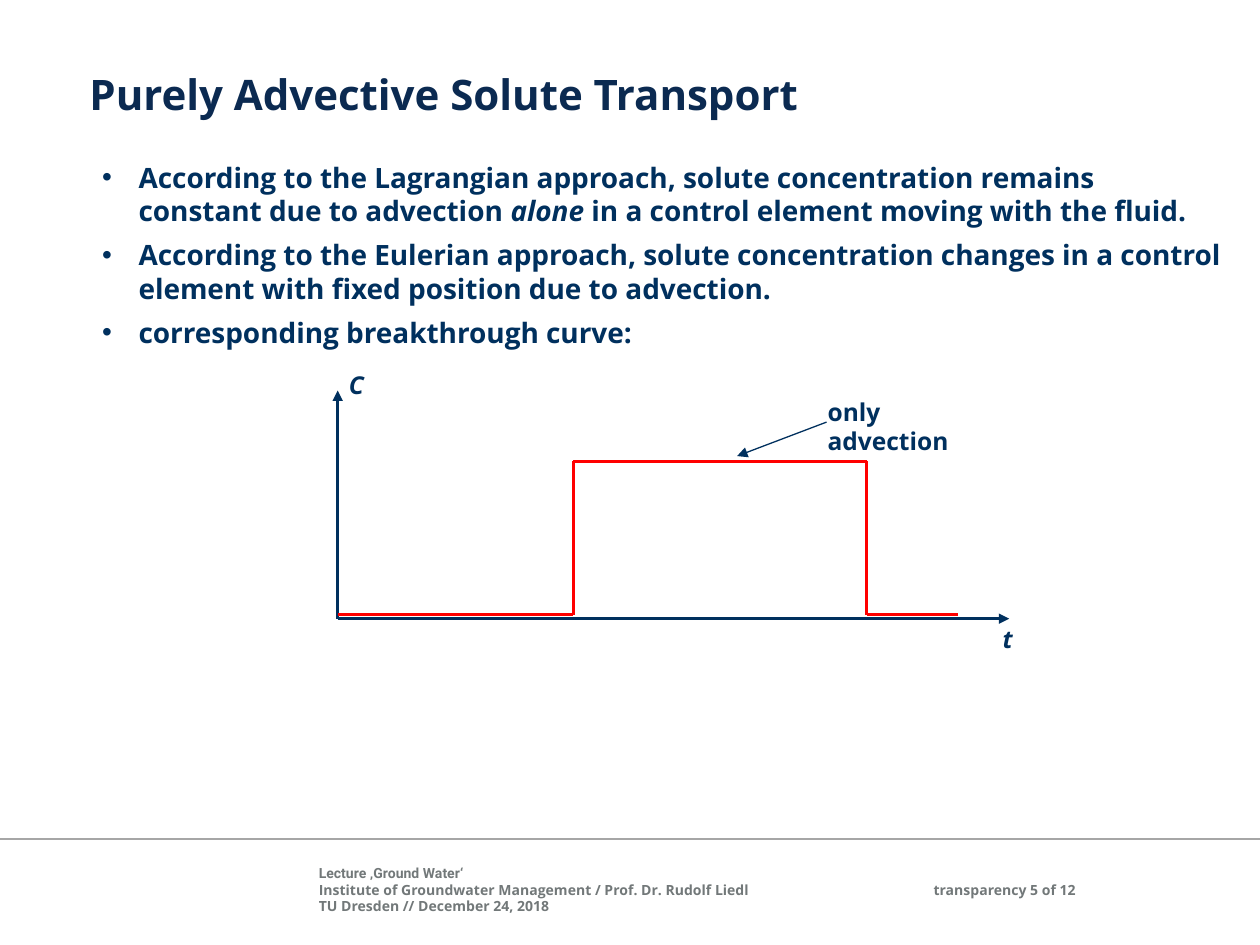
import itertools
import lxml.etree
import pptx
import pptx.dml.color
import pptx.enum.shapes
import pptx.enum.text
import pptx.oxml.ns
import pptx.util

Inches, Pt = pptx.util.Inches, pptx.util.Pt
Align, Anchor = pptx.enum.text.PP_ALIGN, pptx.enum.text.MSO_ANCHOR

NAVY = pptx.dml.color.RGBColor(0x00, 0x30, 0x5E)
TITLE_NAVY = pptx.dml.color.RGBColor(0x0B, 0x2A, 0x51)
RED = pptx.dml.color.RGBColor(0xFF, 0x00, 0x00)
GRAY = pptx.dml.color.RGBColor(0x72, 0x78, 0x79)
RULE_GRAY = pptx.dml.color.RGBColor(0xA6, 0xA6, 0xA6)

WIDTH, HEIGHT = 10, 7.5
MARGIN = 0.71
FOOTER_TOP = 6.86
BULLET_INDENT = 0.29

TITLE = "Purely Advective Solute Transport"
# Each paragraph is a list of runs: (text, format overrides)
BULLETS = [
    [("According to the Lagrangian approach, solute concentration remains "
      "constant due to advection ", {}),
     ("alone", {"italic": True}),
     (" in a control element moving with the fluid.", {})],
    [("According to the Eulerian approach, solute concentration changes in a "
      "control element with fixed position due to advection.", {})],
    [("corresponding breakthrough curve:", {})],
]
FOOTER = [
    [("Lecture \u201aGround Water\u2018", {"font": "Roboto"})],
    [("Institute of Groundwater Management / Prof. Dr. Rudolf Liedl", {})],
    [("TU Dresden // December 24, 2018", {})],
]
PAGE = "transparency 5 of 12"

# Breakthrough curve
ORIGIN = (2.68, 4.91)
TIME_END, CONCENTRATION_END = 8.01, 3.1
BASE, PLATEAU = 4.88, 3.66
ARRIVAL, DEPARTURE, CURVE_END = 4.55, 6.88, 7.6
CURVE = [(ORIGIN[0], BASE), (ARRIVAL, BASE), (ARRIVAL, PLATEAU),
         (DEPARTURE, PLATEAU), (DEPARTURE, BASE), (CURVE_END, BASE)]
AXES = [(TIME_END, ORIGIN[1]), (ORIGIN[0], CONCENTRATION_END)]
# text, box, italic, wraps
LABELS = [("t", (7.86, 4.9, 0.28, 0.34), True, False),
          ("C", (2.67, 2.89, 0.34, 0.34), True, False),
          ("only advection", (6.47, 3.1, 1.3, 0.58), False, True)]


def add_element(parent, tag, **attributes):
    """Append a drawing element with its attributes to a parent."""
    lxml.etree.SubElement(parent, pptx.oxml.ns.qn(tag), attributes)


def write(shape, paragraphs, box, size, color, font="Open Sans", italic=False,
          align=Align.LEFT, anchor=Anchor.TOP, inset=None, wrap=True,
          after=0, spacing=1.0, bullet=False):
    """Place a shape and fill it with formatted bold paragraphs."""
    shape.left, shape.top, shape.width, shape.height = map(Inches, box)
    frame = shape.text_frame
    frame.auto_size = pptx.enum.text.MSO_AUTO_SIZE.NONE
    frame.word_wrap = wrap
    frame.vertical_anchor = anchor
    if inset is not None:
        frame.margin_left = frame.margin_right = Inches(inset)
        frame.margin_top = frame.margin_bottom = Inches(inset)
    if isinstance(paragraphs, str):
        paragraphs = [[(paragraphs, {})]]
    for index, runs in enumerate(paragraphs):
        paragraph = frame.add_paragraph() if index else frame.paragraphs[0]
        paragraph.alignment = align
        paragraph.line_spacing = spacing
        paragraph.space_before, paragraph.space_after = Pt(0), Pt(after)
        if bullet:
            add_bullet(paragraph)
        for text, override in runs:
            run = paragraph.add_run()
            run.text = text
            run.font.size = Pt(size)
            run.font.bold = True
            run.font.italic = override.get("italic", italic)
            run.font.name = override.get("font", font)
            run.font.color.rgb = color


def add_bullet(paragraph):
    """Give a paragraph a hanging round bullet."""
    properties = paragraph._p.get_or_add_pPr()
    properties.set("marL", str(int(Inches(BULLET_INDENT))))
    properties.set("indent", str(-int(Inches(BULLET_INDENT))))
    add_element(properties, "a:buFont", typeface="Arial")
    add_element(properties, "a:buChar", char="\u2022")


def add_line(shapes, start, end, color, width, arrow=False):
    """Draw a straight line, with an arrowhead at its end if wanted."""
    connector = shapes.add_connector(
        pptx.enum.shapes.MSO_CONNECTOR.STRAIGHT,
        *map(Inches, (*start, *end)))
    connector.line.color.rgb = color
    connector.line.width = Pt(width)
    properties = connector._element.find(pptx.oxml.ns.qn("p:spPr"))
    if arrow:
        add_element(properties.find(pptx.oxml.ns.qn("a:ln")), "a:tailEnd",
                    type="triangle")
    add_element(properties, "a:effectLst")


def add_text(shapes, paragraphs, box, **text_format):
    """Add a text box and write into it."""
    write(shapes.add_textbox(0, 0, 0, 0), paragraphs, box, **text_format)


def add_footer(shapes):
    """Draw the rule, the lecture details and the page count."""
    rule = 6.66
    add_line(shapes, (0, rule), (WIDTH, rule), RULE_GRAY, 1)
    style = {"size": 8, "color": GRAY, "inset": 0}
    add_text(shapes, FOOTER, (2.53, FOOTER_TOP, 4.52, 0.4), **style)
    add_text(shapes, PAGE, (7.17, FOOTER_TOP, 1.37, 0.4),
             align=Align.RIGHT, anchor=Anchor.MIDDLE, **style)


def add_diagram(shapes):
    """Draw the axes, the concentration curve and the labels."""
    for end in AXES:
        add_line(shapes, ORIGIN, end, NAVY, 1.5, arrow=True)
    for start, end in itertools.pairwise(CURVE):
        add_line(shapes, start, end, RED, 1.75)
    add_line(shapes, (6.56, 3.35), (5.85, 3.62), NAVY, 0.75, arrow=True)
    for text, box, italic, wrap in LABELS:
        add_text(shapes, text, box, size=14, color=NAVY, italic=italic,
                 wrap=wrap)


def main():
    """Build and save the slide."""
    presentation = pptx.Presentation()
    presentation.slide_width = Inches(WIDTH)
    presentation.slide_height = Inches(HEIGHT)
    slide = presentation.slides.add_slide(presentation.slide_layouts[1])
    title, body = slide.placeholders
    add_footer(slide.shapes)
    write(title, TITLE, (MARGIN, 0.59, 8.66, 0.47), size=24,
          color=TITLE_NAVY, inset=0, spacing=0.9)
    write(body, BULLETS, (MARGIN, 1.22, 9.1, 1.62), size=16, color=NAVY,
          after=6, bullet=True)
    add_diagram(slide.shapes)
    presentation.save("out.pptx")


main()
